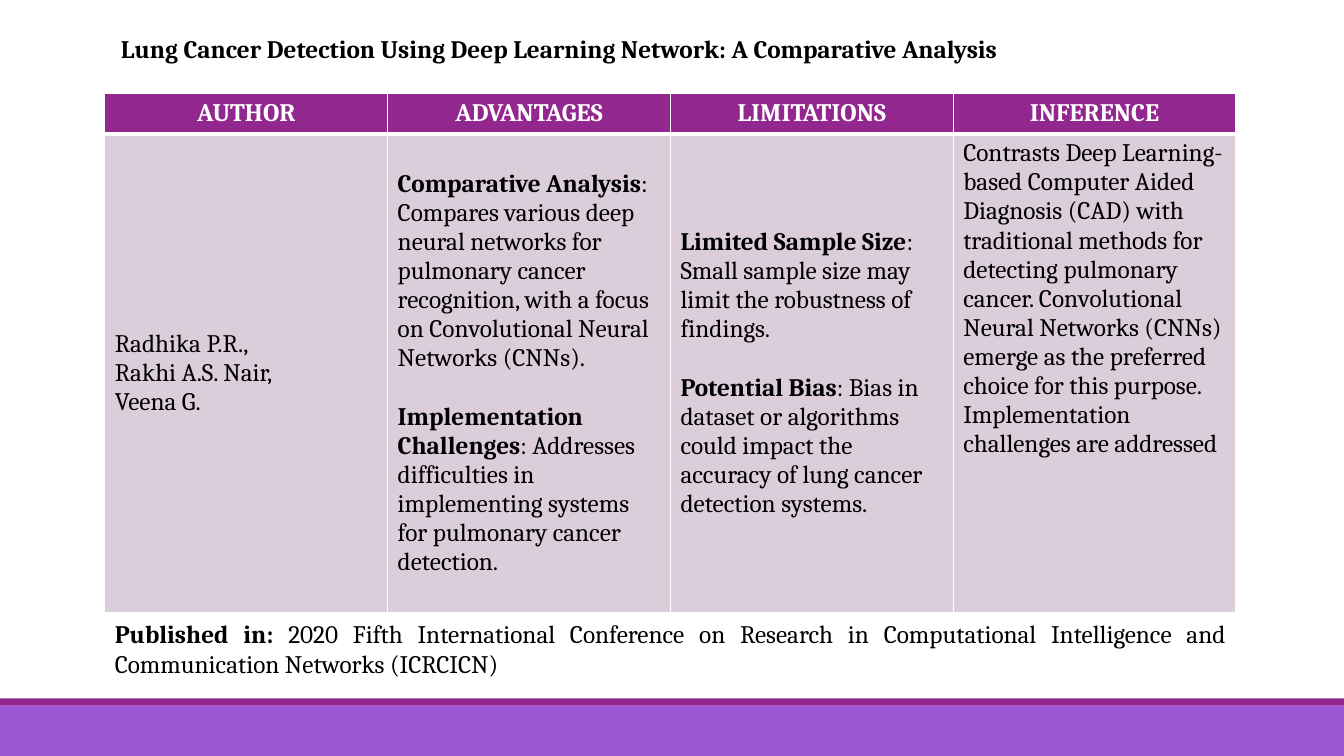
from dataclasses import dataclass

from lxml.etree import SubElement
from pptx import Presentation
from pptx.dml.color import RGBColor
from pptx.enum.shapes import MSO_SHAPE
from pptx.enum.text import MSO_ANCHOR, PP_ALIGN
from pptx.oxml.ns import qn
from pptx.util import Inches, Pt


@dataclass(frozen=True)
class Theme:
    """Colours, font and type sizes of the slide."""
    font: str = "Cambria"
    size: int = 18
    para_gap: int = 21
    text: str = "000000"
    white: str = "FFFFFF"
    purple: str = "92278F"
    violet: str = "9B57D3"
    lilac: str = "DCCDDB"


T = Theme()
TITLE = "Lung Cancer Detection Using Deep Learning Network: A Comparative Analysis"
PUBLISHED = [("Published in:", True),
             (" 2020 Fifth International Conference on Research in Computational "
              "Intelligence and Communication Networks (ICRCICN)", False)]
HEADERS = ["AUTHOR", "ADVANTAGES", "LIMITATIONS", "INFERENCE"]
AUTHORS = [[(name, False)] for name in ("Radhika P.R.,", "Rakhi A.S. Nair,", "Veena G.")]
ADVANTAGES = [
    [("Comparative Analysis", True),
     (": Compares various deep neural networks for pulmonary cancer recognition, "
      "with a focus on Convolutional Neural Networks (CNNs).", False)],
    [("Implementation Challenges", True),
     (": Addresses difficulties in implementing systems for pulmonary cancer "
      "detection.", False)],
]
LIMITATIONS = [
    [("Limited Sample Size", True),
     (": Small sample size may limit the robustness of findings.", False)],
    [("Potential Bias", True),
     (": Bias in dataset or algorithms could impact the accuracy of lung cancer "
      "detection systems.", False)],
]
INFERENCE = [
    [("Contrasts Deep Learning-based Computer Aided Diagnosis (CAD) with traditional "
      "methods for detecting pulmonary cancer. Convolutional Neural Networks (CNNs) "
      "emerge as the preferred choice for this purpose. Implementation challenges "
      "are addressed", False)],
]
BODY = [(AUTHORS, 0, MSO_ANCHOR.MIDDLE),
        (ADVANTAGES, T.para_gap, MSO_ANCHOR.MIDDLE),
        (LIMITATIONS, T.para_gap, MSO_ANCHOR.MIDDLE),
        (INFERENCE, 0, MSO_ANCHOR.TOP)]


def write(tf, paragraphs, color=T.text, align=PP_ALIGN.LEFT, gap=0):
    """Fill a text frame with paragraphs made of (text, bold) runs."""
    for i, runs in enumerate(paragraphs):
        p = tf.paragraphs[0] if i == 0 else tf.add_paragraph()
        p.alignment = align
        if i and gap:
            p.space_before = Pt(gap)
        for text, bold in runs:
            r = p.add_run()
            r.text = text
            r.font.name = T.font
            r.font.size = Pt(T.size)
            r.font.bold = bold
            r.font.color.rgb = RGBColor.from_string(color)


def style_cell(cell, fill, top, bottom):
    """Give a cell white borders and a solid fill."""
    tc_pr = cell._tc.get_or_add_tcPr()
    for side, width in (("L", 1), ("R", 1), ("T", top), ("B", bottom)):
        ln = SubElement(tc_pr, qn(f"a:ln{side}"), w=str(Pt(width)))
        SubElement(SubElement(ln, qn("a:solidFill")), qn("a:srgbClr"), val=T.white)
    cell.fill.solid()
    cell.fill.fore_color.rgb = RGBColor.from_string(fill)


def add_text(s, box, runs, align=PP_ALIGN.LEFT, inset=0.1):
    """Add a one-paragraph wrapped text box."""
    tf = s.shapes.add_textbox(*map(Inches, box)).text_frame
    tf.word_wrap = True
    tf.margin_left = Inches(inset)
    write(tf, [runs], align=align)


def add_review_table(s, box, header_height):
    """Add the table with one header row and one body row."""
    x, y, w, h = box
    table = s.shapes.add_table(2, len(HEADERS), *map(Inches, box)).table
    table.rows[0].height = Inches(header_height)
    table.rows[1].height = Inches(h - header_height)
    for i, (header, (paragraphs, gap, anchor)) in enumerate(zip(HEADERS, BODY)):
        table.columns[i].width = Inches(w / len(HEADERS))
        head, body = table.cell(0, i), table.cell(1, i)
        style_cell(head, T.purple, 1, 3)
        write(head.text_frame, [[(header, True)]], T.white, PP_ALIGN.CENTER)
        style_cell(body, T.lilac, 3, 1)
        body.vertical_anchor = anchor
        write(body.text_frame, paragraphs, gap=gap)


def add_footer(s, box, stripe):
    """Add the footer band with a thin stripe along its top."""
    x, y, w, h = box
    for top, height, color in ((y + stripe, h - stripe, T.violet), (y, stripe, T.purple)):
        sp = s.shapes.add_shape(MSO_SHAPE.RECTANGLE, *map(Inches, (x, top, w, height)))
        sp.shadow.inherit = False
        sp.fill.solid()
        sp.fill.fore_color.rgb = RGBColor.from_string(color)
        sp.line.fill.background()


def main():
    """Build the slide and save it."""
    prs = Presentation()
    prs.slide_width, prs.slide_height = Inches(13.33), Inches(7.5)
    s = prs.slides.add_slide(prs.slide_layouts[6])
    left, width = 1.04, 11.22
    add_footer(s, (0, 6.93, 13.33, 0.57), 0.07)
    add_review_table(s, (left, 0.93, width, 5.15), 0.4)
    add_text(s, (left, 0.28, width, 0.4), [(TITLE, True)], inset=0.16)
    add_text(s, (left, 6.08, width, 0.71), PUBLISHED, PP_ALIGN.JUSTIFY)
    prs.save("out.pptx")


if __name__ == "__main__":
    main()
